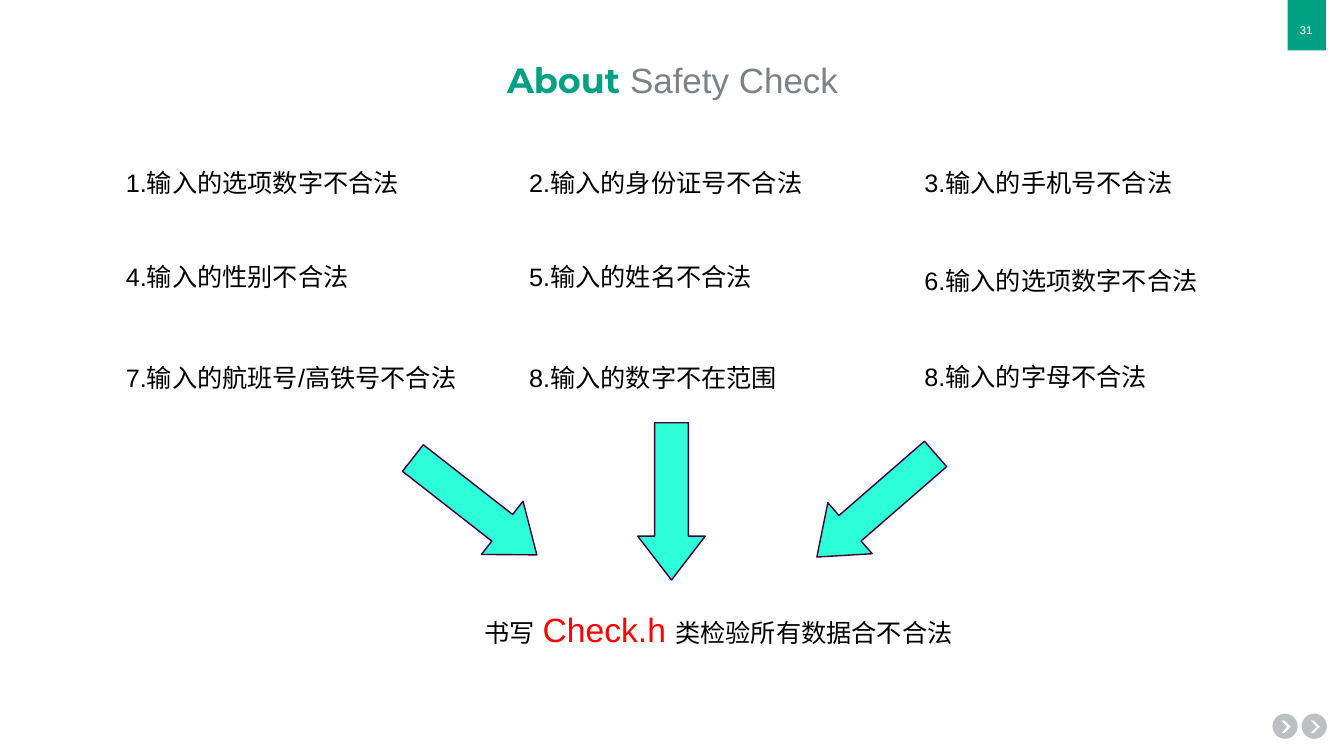
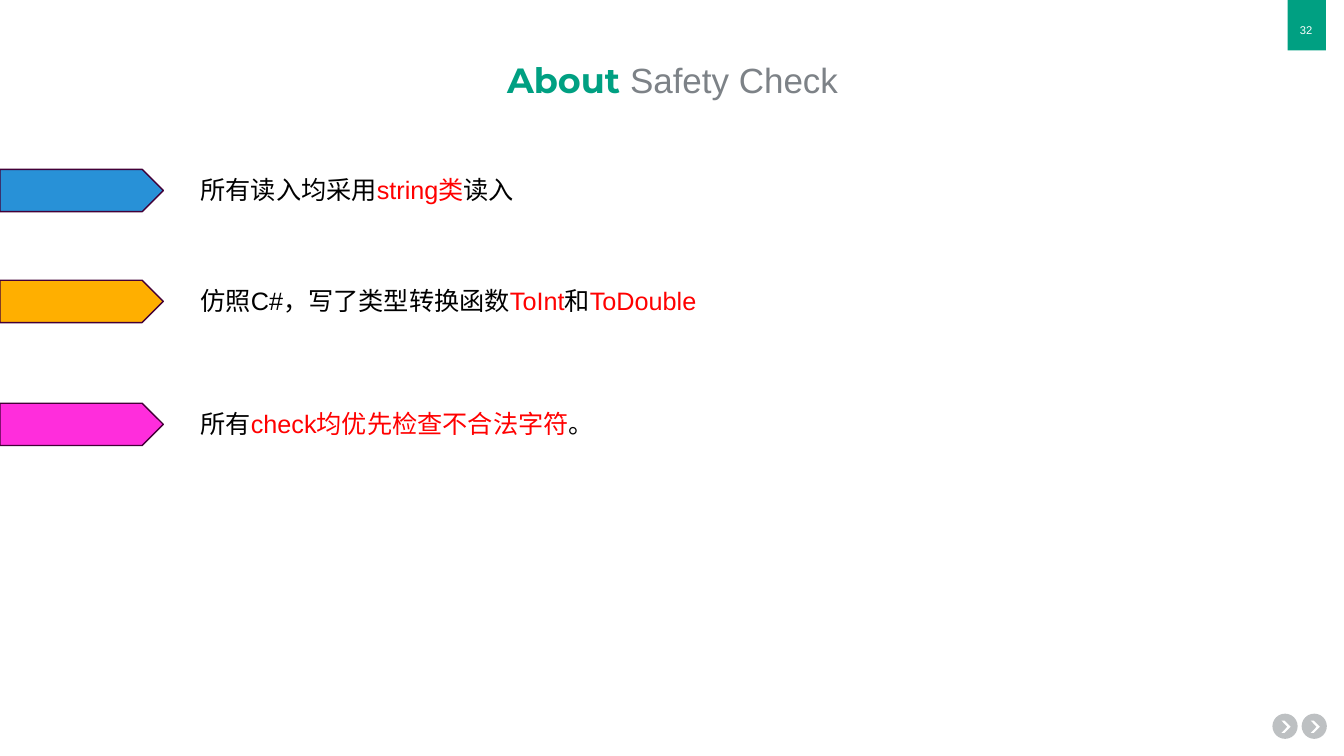
"""Build two slides on input safety checks."""
from dataclasses import dataclass

from lxml import etree
from pptx import Presentation
from pptx.dml.color import RGBColor
from pptx.enum import shapes, text
from pptx.oxml.ns import qn
from pptx.util import Inches, Pt

GREEN, GREY, BLACK, RED, WHITE = "00A082", "7D8287", "000000", "FF0000", "FFFFFF"
OUTLINE, ARROW_FILL = "430037", "2DFFD8"
FONT, TITLE_FONT = "Arial", "Montserrat"
SHAPE = shapes.MSO_SHAPE


@dataclass(frozen=True)
class Run:
    text: str
    color: str = BLACK
    size: float = 18
    font: str = FONT
    bold: bool = False


@dataclass(frozen=True)
class Column:
    left: float
    tops: tuple[float, ...]
    items: tuple[str, ...]


@dataclass(frozen=True)
class Arrow:
    left: float
    top: float
    angle: float


@dataclass(frozen=True)
class Point:
    top: float
    color: str
    runs: tuple[Run, ...]


COLUMNS = (
    Column(1.15, (1.61, 2.54, 3.55),
           ("1.输入的选项数字不合法", "4.输入的性别不合法", "7.输入的航班号/高铁号不合法")),
    Column(5.15, (1.61, 2.54, 3.55),
           ("2.输入的身份证号不合法", "5.输入的姓名不合法", "8.输入的数字不在范围")),
    Column(9.07, (1.61, 2.58, 3.54),
           ("3.输入的手机号不合法", "6.输入的选项数字不合法", "8.输入的字母不合法")),
)
ARROWS = (Arrow(3.93, 4.69, 38), Arrow(5.88, 4.64, 90), Arrow(7.91, 4.68, 139))
CONCLUSION = (Run("书写"), Run(" Check.h ", RED, 24), Run("类检验所有数据合不合法"))
POINTS = (
    Point(1.68, "2891D7", (Run("所有读入均采用"), Run("string类", RED), Run("读入"))),
    Point(2.78, "FFAF00", (Run("仿照C#，写了类型转换函数"), Run("ToInt", RED),
                           Run("和"), Run("ToDouble", RED))),
    Point(4, "FF2DDC", (Run("所有"), Run("check均优先检查不合法字符", RED), Run("。"))),
)


def rgb(value: str) -> RGBColor:
    """Turn a hex string into a colour."""
    return RGBColor.from_string(value)


def add_box(s, left: float, top: float, width: float, height: float, runs: tuple[Run, ...]):
    """Add a wrapped text box holding one paragraph and return its frame."""
    tf = s.shapes.add_textbox(Inches(left), Inches(top), Inches(width), Inches(height)).text_frame
    tf.word_wrap = True
    p = tf.paragraphs[0]
    for run in runs:
        r = p.add_run()
        r.text = run.text
        r.font.size, r.font.name, r.font.bold = Pt(run.size), run.font, run.bold
        r.font.color.rgb = rgb(run.color)
    return tf


def center(tf) -> None:
    """Centre a text frame both ways."""
    tf.vertical_anchor = text.MSO_ANCHOR.MIDDLE
    tf.paragraphs[0].alignment = text.PP_ALIGN.CENTER


def add_shape(parent, kind, left: float, top: float, width: float, height: float,
              fill: str, line: str | None = None):
    """Add a flat preset shape to a slide or group."""
    sp = parent.shapes.add_shape(kind, Inches(left), Inches(top), Inches(width), Inches(height))
    sp.shadow.inherit = False
    sp.fill.solid()
    sp.fill.fore_color.rgb = rgb(fill)
    if line:
        sp.line.color.rgb = rgb(line)
        sp.line.width = Pt(1)
    else:
        sp.line.fill.background()
    return sp


def add_nav_button(s, left: float) -> None:
    """Add a half-transparent round button with a chevron."""
    group = s.shapes.add_group_shape()
    disc = add_shape(group, SHAPE.OVAL, left, 7.08, 0.25, 0.25, GREY)
    color = disc.fill._xPr.find(qn("a:solidFill"))[0]
    etree.SubElement(color, qn("a:alpha")).set("val", "50000")
    mark = add_shape(group, SHAPE.CHEVRON, left + 0.09, 7.15, 0.09, 0.12, WHITE)
    mark.adjustments[0] = 0.66


def add_base(prs, number: int):
    """Add a blank slide with page tab, navigation buttons and title."""
    s = prs.slides.add_slide(prs.slide_layouts[6])
    add_shape(s, SHAPE.RECTANGLE, 12.77, -0.03, 0.38, 0.53, GREEN)
    center(add_box(s, 12.72, 0.19, 0.47, 0.21, (Run(str(number), "FEFEFE", 8),)))
    for left in (12.91, 12.62):
        add_nav_button(s, left)
    title = add_box(s, 0.92, 0.54, 11.5, 0.55, (
        Run("About ", GREEN, 25, TITLE_FONT, True), Run("Safety Check", GREY, 25)))
    center(title)
    title.paragraphs[0].line_spacing = 0.9
    return s


def add_checks_slide(prs) -> None:
    """Add the grid of invalid inputs leading to one checking class."""
    s = add_base(prs, 31)
    for column in COLUMNS:
        for top, item in zip(column.tops, column.items):
            add_box(s, column.left, top, 3.56, 0.4, (Run(item),))
    for arrow in ARROWS:
        sp = add_shape(s, SHAPE.RIGHT_ARROW, arrow.left, arrow.top, 1.56, 0.67,
                       ARROW_FILL, OUTLINE)
        sp.adjustments[1] = 0.65
        sp.rotation = arrow.angle
    add_box(s, 4.71, 5.99, 4.97, 0.5, CONCLUSION)


def add_points_slide(prs) -> None:
    """Add the three design points with coloured tags."""
    s = add_base(prs, 32)
    for point in POINTS:
        add_shape(s, SHAPE.PENTAGON, 0, point.top, 1.62, 0.42, point.color, OUTLINE)
        add_box(s, 1.89, point.top, 5.27, 0.4, point.runs)


def main() -> None:
    """Build and save the presentation."""
    prs = Presentation()
    prs.slide_width, prs.slide_height = Inches(13.33), Inches(7.5)
    add_checks_slide(prs)
    add_points_slide(prs)
    prs.save("out.pptx")


if __name__ == "__main__":
    main()
